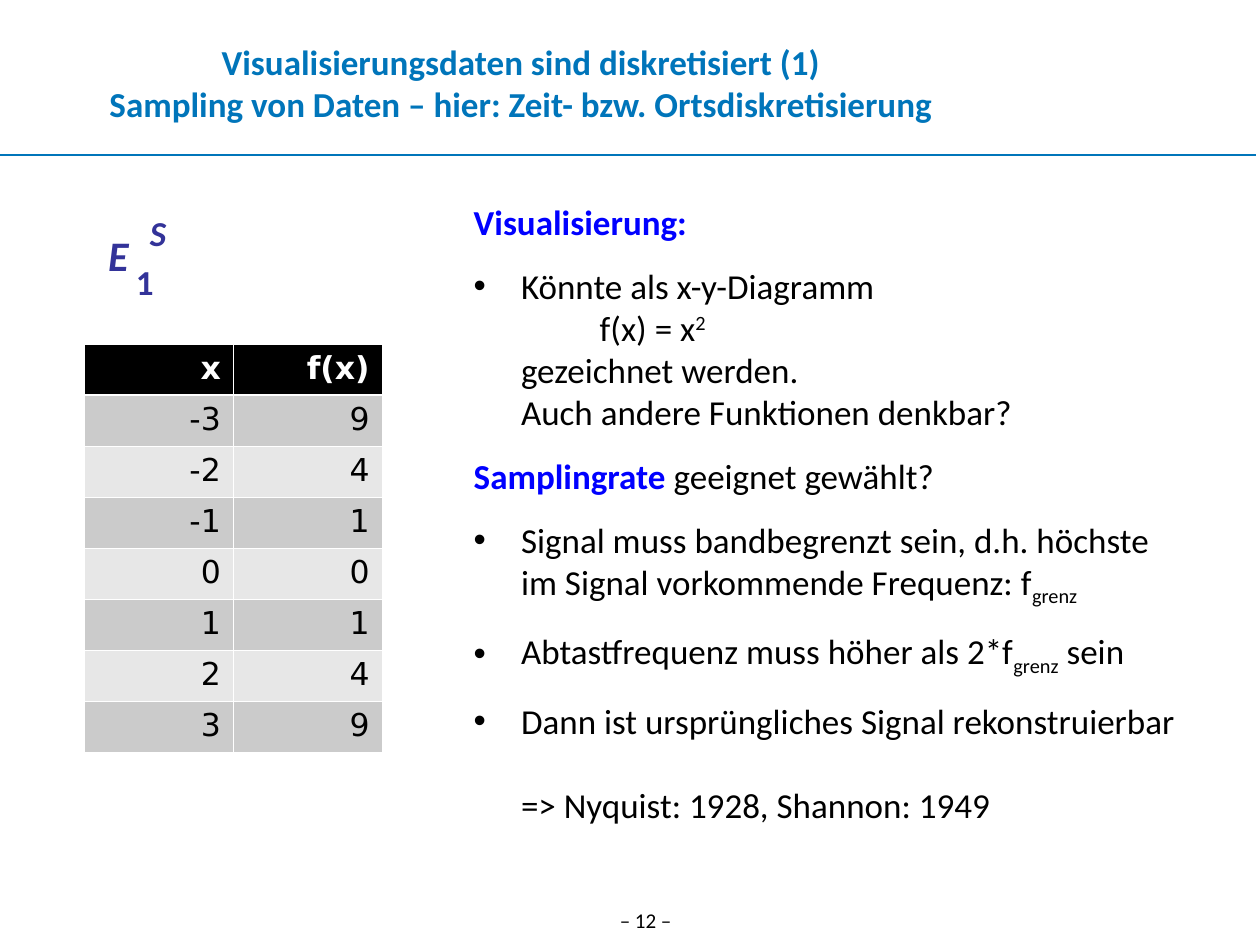
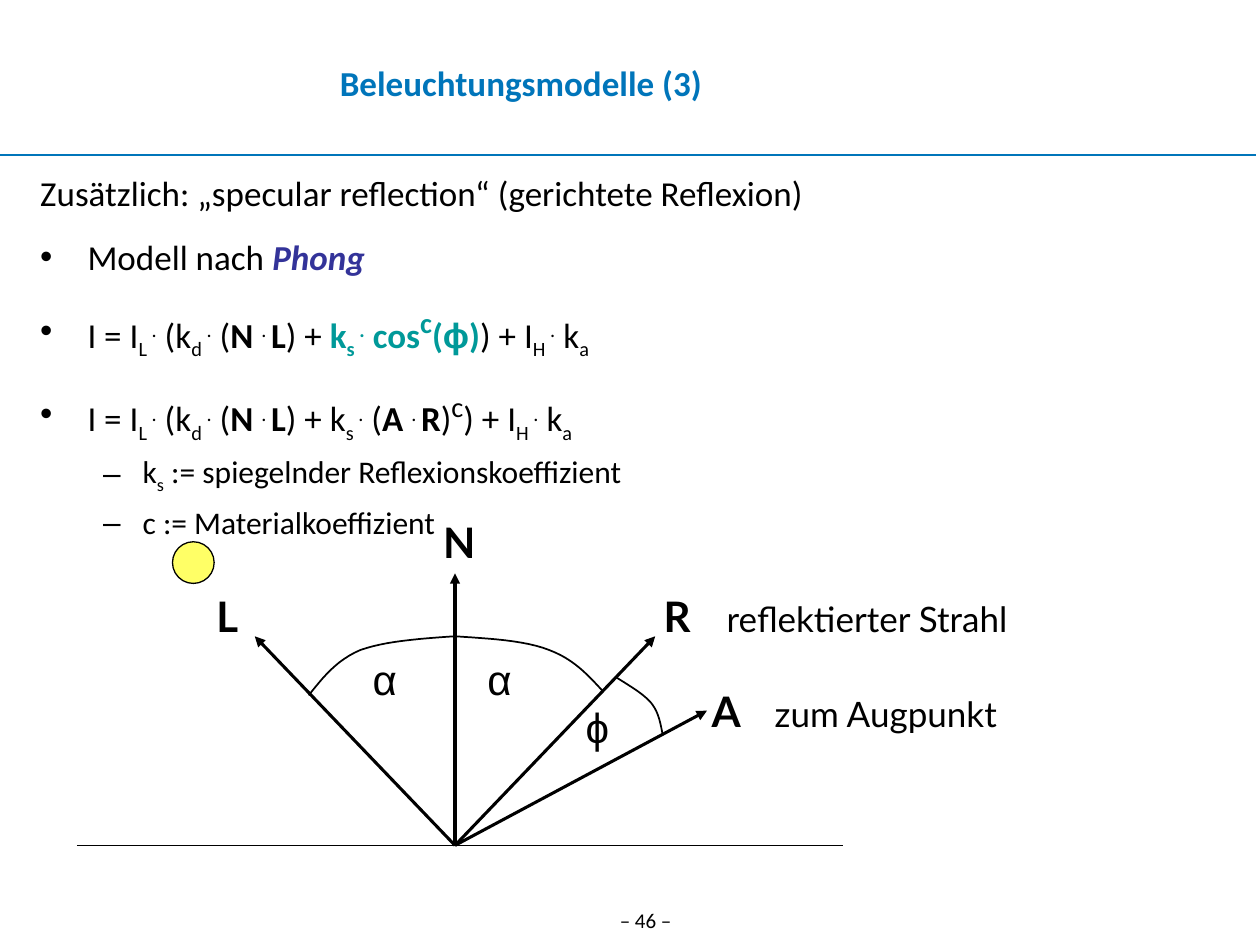
from dataclasses import dataclass, field
from typing import Any, NamedTuple, Optional

import pptx
import pptx.dml.color
import pptx.enum.shapes
import pptx.enum.text
import pptx.oxml
import pptx.oxml.ns
import pptx.util
from lxml import etree

Pt = pptx.util.Pt
PP_ALIGN = pptx.enum.text.PP_ALIGN
ANCHOR = pptx.enum.text.MSO_ANCHOR
qn = pptx.oxml.ns.qn

# Shared colours and text formats
BLACK, WHITE = "000000", "FFFFFF"
TITLE_BLUE, KEYWORD_BLUE, INDIGO, TEAL = "0075BA", "0000FF", "333399", "009999"
BODY = dict(size=20, name="Calibri", color=BLACK)
SUB_ITEM = BODY | dict(size=18)
TITLE = BODY | dict(color=TITLE_BLUE, bold=True)
FOOTER = BODY | dict(size=12)
SYMBOL = dict(size=20, name="Calibri", color=INDIGO, bold=True)
VECTOR = dict(size=24, name="Lato", color=BLACK, bold=True)
ANGLE = dict(size=24, name="Arial", color=BLACK)
TABLE_TEXT = dict(size=18, name="DejaVu Sans", color=BLACK)


class Box(NamedTuple):
    left: float
    top: float
    width: float
    height: float


class Run(NamedTuple):
    text: str
    format: dict[str, Any] = {}


@dataclass
class Paragraph:
    runs: list[Run]
    format: dict[str, Any] = field(default_factory=lambda: BODY)
    before: float = 0
    margin: float = 0
    indent: float = 0
    level: int = 0
    bullet: str = ""
    tab: float = 0
    align: Any = PP_ALIGN.LEFT


@dataclass
class Label:
    box: Box
    runs: list[Run]
    format: dict[str, Any]
    tab: float = 0


def rgb(color: str) -> pptx.dml.color.RGBColor:
    return pptx.dml.color.RGBColor.from_string(color)


def points(values) -> list[int]:
    return [Pt(value) for value in values]


def add_xml(parent, tag: str, **attributes: str):
    return etree.SubElement(parent, qn(tag), attributes)


# Text
def format_run(run, values: dict[str, Any]) -> None:
    for key, value in values.items():
        if key == "color":
            run.font.color.rgb = rgb(value)
        elif key == "baseline":
            run.font._element.set("baseline", str(value * 1000))
        else:
            setattr(run.font, key, Pt(value) if key == "size" else value)


def write(frame, paragraphs: list[Paragraph]) -> None:
    for index, content in enumerate(paragraphs):
        paragraph = frame.add_paragraph() if index else frame.paragraphs[0]
        properties = paragraph._p.get_or_add_pPr()
        properties.set("marL", str(Pt(content.margin)))
        properties.set("indent", str(Pt(content.indent)))
        if content.bullet:
            color = add_xml(properties, "a:buClr")
            add_xml(color, "a:srgbClr", val=BLACK)
            add_xml(properties, "a:buFont", typeface="Arial")
            add_xml(properties, "a:buChar", char=content.bullet)
        else:
            add_xml(properties, "a:buNone")
        if content.tab:
            tabs = add_xml(properties, "a:tabLst")
            add_xml(tabs, "a:tab", pos=str(Pt(content.tab)), algn="l")
        layout = dict(level=content.level, alignment=content.align, line_spacing=1.0,
                      space_before=Pt(content.before), space_after=Pt(0))
        for key, value in layout.items():
            setattr(paragraph, key, value)
        for part in content.runs:
            for line_number, line in enumerate(part.text.split("\n")):
                if line_number:
                    paragraph.add_line_break()
                if line:
                    run = paragraph.add_run()
                    run.text = line
                    format_run(run, content.format | part.format)


def fill_placeholder(shape, box: Box, paragraphs: list[Paragraph], anchor, inset=None) -> None:
    shape.left, shape.top, shape.width, shape.height = points(box)
    frame = shape.text_frame
    frame.auto_size = pptx.enum.text.MSO_AUTO_SIZE.NONE
    frame.vertical_anchor = anchor
    if inset is not None:
        for side in ("left", "top", "right", "bottom"):
            setattr(frame, f"margin_{side}", Pt(inset))
    write(frame, paragraphs)


def add_label(slide, label: Label, align=PP_ALIGN.LEFT) -> None:
    frame = slide.shapes.add_textbox(*points(label.box)).text_frame
    frame.word_wrap = True
    write(frame, [Paragraph(label.runs, label.format, tab=label.tab, align=align)])


# Lines and curves
def add_line(slide, start, end, color=BLACK, width=1.0, arrow=False) -> None:
    connector = slide.shapes.add_connector(
        pptx.enum.shapes.MSO_CONNECTOR.STRAIGHT, *points(start + end))
    connector.line.color.rgb = rgb(color)
    connector.line.width = Pt(width)
    properties = connector.element.spPr
    if arrow:
        add_xml(properties.find(qn("a:ln")), "a:tailEnd", type="triangle")
    add_xml(properties, "a:effectLst")


def add_curve(slide, knots: list[tuple[float, float]], steps: int = 12) -> None:
    """Draw chained cubic Bézier segments as a fine open outline."""
    builder = slide.shapes.build_freeform(*points(knots[0]))
    outline = []
    for first in range(0, len(knots) - 1, 3):
        segment = knots[first:first + 4]
        for step in range(1, steps + 1):
            t = step / steps
            weights = ((1 - t) ** 3, 3 * t * (1 - t) ** 2, 3 * t ** 2 * (1 - t), t ** 3)
            outline.append(tuple(
                Pt(sum(w * knot[axis] for w, knot in zip(weights, segment)))
                for axis in (0, 1)))
    builder.add_line_segments(outline, close=False)
    curve = builder.convert_to_shape()
    curve.shadow.inherit = False
    curve.fill.background()
    curve.line.color.rgb = rgb(BLACK)
    curve.line.width = Pt(1)


# Table
def format_cell(cell, text: str, fill: str, values: dict, top: float, bottom: float) -> None:
    write(cell.text_frame, [Paragraph([Run(text)], values, align=PP_ALIGN.RIGHT)])
    cell.fill.solid()
    cell.fill.fore_color.rgb = rgb(fill)
    properties = cell._tc.get_or_add_tcPr()
    borders = dict(lnL=0.45, lnR=0.45, lnT=top, lnB=bottom)
    for position, (tag, width) in enumerate(borders.items()):
        border = etree.Element(qn(f"a:{tag}"), {"w": str(Pt(width))})
        add_xml(add_xml(border, "a:solidFill"), "a:srgbClr", val=WHITE)
        properties.insert(position, border)


def add_samples(slide) -> None:
    rows = [("x", "f(x)")] + [(str(x), str(x * x)) for x in range(-3, 4)]
    table = slide.shapes.add_table(len(rows), 2, *points(Box(48.4, 196.6, 170, 233.2))).table
    for row_number, row in enumerate(rows):
        header = row_number == 0
        fill = BLACK if header else ("E7E7E7", "CBCBCB")[row_number % 2]
        values = TABLE_TEXT | (dict(color=WHITE, bold=True) if header else {})
        for column, text in enumerate(row):
            format_cell(table.cell(row_number, column), text, fill, values,
                        top=1.47 if row_number == 1 else 0.45,
                        bottom=1.47 if header else 0.45)


# Frame of every slide
def add_slide(deck, title: str, page: int, body_box: Box, body: list[Paragraph]):
    slide = deck.slides.add_slide(deck.slide_layouts[1])
    add_line(slide, (0, 88.6), (718, 88.6), TITLE_BLUE, 0.75)
    add_label(slide, Label(Box(337.7, 514.8, 62.6, 25), [Run(f"– {page} –")], FOOTER),
              PP_ALIGN.CENTER)
    fill_placeholder(slide.shapes.title, Box(14.4, 16.6, 566.6, 61.2),
                     [Paragraph([Run(title)], TITLE, align=PP_ALIGN.CENTER)],
                     ANCHOR.MIDDLE, inset=0)
    fill_placeholder(slide.placeholders[1], body_box, body, ANCHOR.TOP)
    return slide


def plain(*runs: Run, before: float = 12.5) -> Paragraph:
    return Paragraph(list(runs), before=before)


def item(*runs: Run, tab: float = 0) -> Paragraph:
    return Paragraph(list(runs), before=12.5, margin=27, indent=-27, bullet="•", tab=tab)


def sub_item(*runs: Run) -> Paragraph:
    return Paragraph(list(runs), SUB_ITEM, before=4.5, margin=58.5, indent=-22.5,
                     level=1, bullet="–")


def low(text: str, **values: Any) -> Run:
    return Run(text, dict(baseline=-25) | values)


def high(text: str, **values: Any) -> Run:
    return Run(text, dict(baseline=30) | values)


def bold(text: str, **values: Any) -> Run:
    return Run(text, dict(bold=True) | values)


def build_sampling(deck) -> None:
    keyword = dict(color=KEYWORD_BLUE)
    cutoff = low("grenz")
    body = [
        plain(bold("Visualisierung:", **keyword), before=0),
        item(Run("Könnte als x-y-Diagramm\n\tf(x) = x"), high("2"),
             Run("\ngezeichnet werden.\nAuch andere Funktionen denkbar?"), tab=72),
        plain(bold("Samplingrate", **keyword), Run(" geeignet gewählt?")),
        item(Run("Signal muss bandbegrenzt sein, d.h. höchste\n"
                 "im Signal vorkommende Frequenz: f"), cutoff),
        item(Run("Abtastfrequenz muss höher als 2*f"), cutoff, Run(" sein")),
        item(Run("Dann ist ursprüngliches Signal rekonstruierbar")),
        Paragraph([Run("=> Nyquist: 1928, Shannon: 1949")], before=24, margin=27),
    ]
    slide = add_slide(deck, "Visualisierungsdaten sind diskretisiert (1)\n"
                      "Sampling von Daten – hier: Zeit- bzw. Ortsdiskretisierung",
                      12, Box(263.5, 110.9, 430.6, 380.2), body)
    add_samples(slide)
    for label in (
        Label(Box(54.7, 127.4, 36, 36), [Run("E")], SYMBOL | dict(size=24, italic=True)),
        Label(Box(78.5, 117.4, 54, 31.7), [Run("S")], SYMBOL | dict(italic=True)),
        Label(Box(70.6, 145.4, 65.5, 31.7), [Run("1")], SYMBOL),
    ):
        add_label(slide, label)


def build_lighting(deck) -> None:
    # Parts shared by both formulas
    dot, spaced_dot = high("."), high(". ")
    diffuse = [Run("I = I"), low("L "), dot, Run(" (k"), low("d "), dot, Run(" ("),
               bold("N "), spaced_dot, bold("L"), Run(") + ")]
    ambient = [Run(") + I"), low("H "), dot, Run(" k"), low("a")]
    teal = dict(color=TEAL, bold=True)
    specular_angle = [Run("k", teal), low("s ", **teal), high(".", **teal), Run(" cos", teal),
                      high("c", size=28, **teal), Run("(", teal),
                      Run("ϕ", teal | dict(name="Arial")), Run(")", teal)]
    specular_vectors = [Run("k"), low("s "), dot, Run(" ("), bold("A "), spaced_dot,
                        bold("R"), Run(")"), high("c", size=28)]
    body = [
        plain(Run("Zusätzlich: „specular reflection“ (gerichtete Reflexion)"), before=0),
        item(Run("Modell nach "), bold("Phong", italic=True, color=INDIGO)),
        item(*diffuse, *specular_angle, *ambient),
        item(*diffuse, *specular_vectors, *ambient),
        sub_item(Run("k"), low("s"), Run(" := spiegelnder Reflexionskoeffizient")),
        sub_item(Run("c := Materialkoeffizient")),
    ]
    slide = add_slide(deck, "Beleuchtungsmodelle (3)", 46, Box(15.8, 94.3, 702, 396.7), body)

    # Surface and rays N, L, R, A
    surface_point = (260, 483.1)
    add_line(slide, (44, 483.1), (481.7, 483.1))
    for ray_end in ((260, 327.6), (145.6, 363.6), (374.4, 363.6), (404, 406.1)):
        add_line(slide, surface_point, ray_end, width=1.75, arrow=True)

    # Angle arcs
    for knots in (
        [(176.4, 397.4), (184.3, 387.4), (192.2, 377.3), (205.9, 371.5),
         (219.6, 366.5), (239.8, 365), (260, 363.6)],
        [(344.2, 394.6), (335.5, 385.2), (327.6, 376.6), (313.9, 371.5),
         (299.5, 365.8), (279.4, 365), (260, 363.6)],
        [(378.7, 419.8), (377.3, 413.3), (376.6, 407.5), (372.2, 401.8),
         (367.2, 396), (359.3, 391.7), (351.4, 386.6)],
    ):
        add_curve(slide, knots)

    # Light source
    light = slide.shapes.add_shape(pptx.enum.shapes.MSO_SHAPE.OVAL,
                                   *points(Box(98.6, 309.6, 23.8, 23.8)))
    light.shadow.inherit = False
    light.fill.solid()
    light.fill.fore_color.rgb = rgb("FFFF66")
    light.line.color.rgb = rgb(BLACK)
    light.line.width = Pt(0.75)

    # Ray and angle labels
    note = dict(size=20, bold=False)
    for label in (
        Label(Box(116.6, 334.1, 36, 36), [Run("L")], VECTOR),
        Label(Box(246.2, 291.6, 30.2, 36), [Run("N")], VECTOR),
        Label(Box(372.2, 334.1, 247.7, 36),
              [Run("R"), Run("\treflektierter Strahl", note)], VECTOR, tab=34.3),
        Label(Box(399.6, 388.1, 226.8, 36),
              [Run("A"), Run("\tzum Augpunkt", note)], VECTOR, tab=35.5),
        Label(Box(205.9, 370.1, 38.9, 36), [Run("α")], ANGLE),
        Label(Box(271.4, 370.1, 38.9, 36), [Run("α")], ANGLE),
        Label(Box(327.6, 397.4, 46.8, 36), [Run("ϕ")], ANGLE),
    ):
        add_label(slide, label)


def main() -> None:
    deck = pptx.Presentation()
    deck.slide_width, deck.slide_height = Pt(720), Pt(540)
    build_sampling(deck)
    build_lighting(deck)
    deck.save("out.pptx")


if __name__ == "__main__":
    main()
